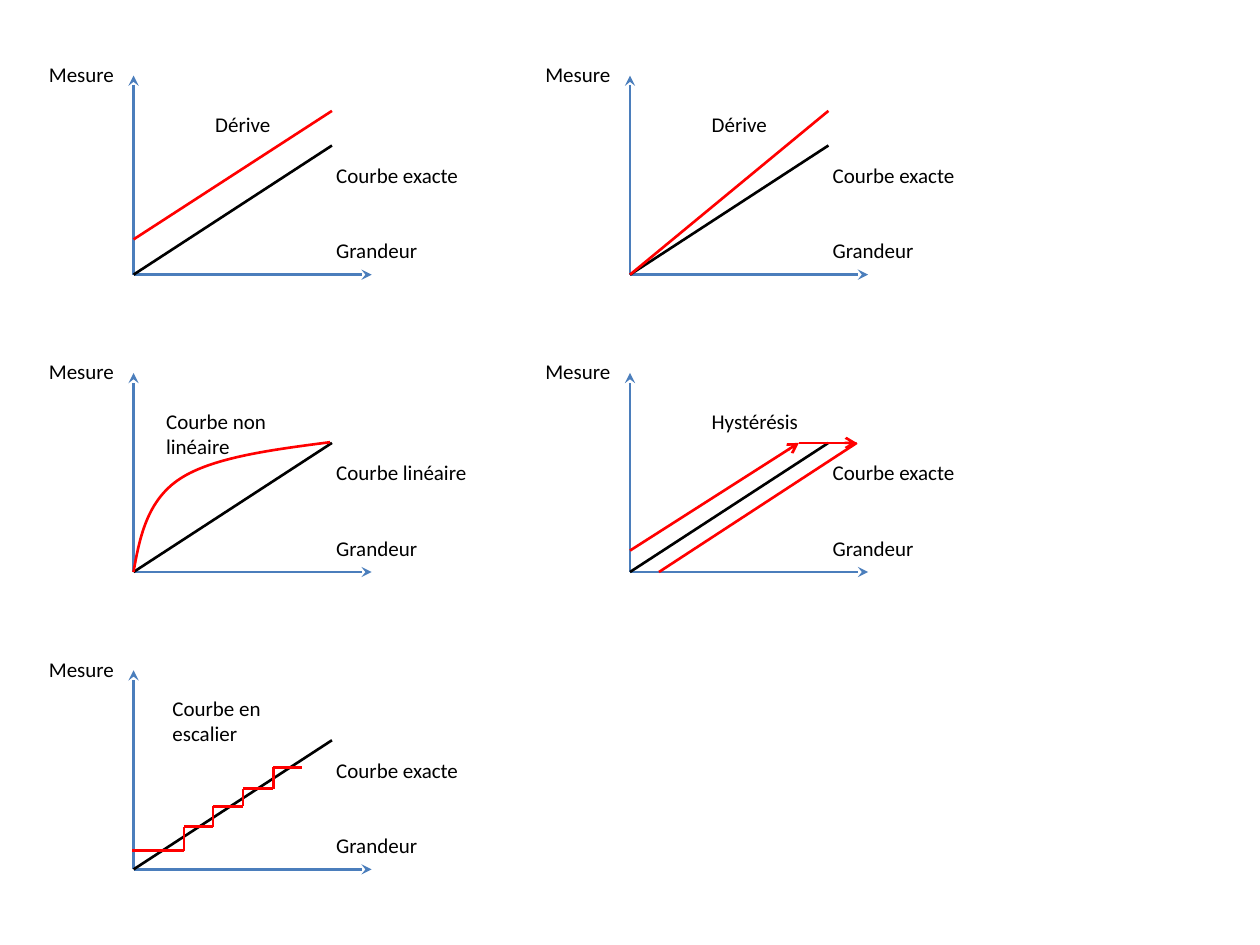
from itertools import pairwise

from lxml import etree
from pptx import Presentation
from pptx.dml.color import RGBColor
from pptx.enum.shapes import MSO_CONNECTOR as CONN
from pptx.enum.text import MSO_AUTO_SIZE as AUTO
from pptx.oxml.ns import qn
from pptx.util import Inches, Pt

BLUE, BLACK, RED = "4B7EBC", "000000", "FF0000"
LEFT, TOP = 1.06, 2.18          # axis origin of the first graph
COL, ROW = 3.94, 2.36           # steps between graphs
END = (1.575, 1.025)            # end of the reference line


def rgb(value):
    return RGBColor.from_string(value)


class Graph:
    """One graph in the grid; points are inches right of and above its origin."""
    font, size, width = "Calibri", 12, 1.5

    def __init__(self, slide, col, row):
        self.shapes = slide.shapes
        self.x0, self.y0 = LEFT + col * COL, TOP + row * ROW

    def at(self, point):
        x, y = point
        return Inches(self.x0 + x), Inches(self.y0 - y)

    def stroke(self, s, color):
        s.line.color.rgb = rgb(color)
        s.line.width = Pt(self.width)

    def line(self, start, end, color=RED, head=None):
        s = self.shapes.add_connector(CONN.STRAIGHT, *self.at(start), *self.at(end))
        self.stroke(s, color)
        if head:
            etree.SubElement(s.line._get_or_add_ln(), qn("a:tailEnd"), type=head)
        etree.SubElement(s._element.spPr, qn("a:effectLst"))

    def text(self, text, x, y, w=1.25, h=0.3):
        s = self.shapes.add_textbox(*self.at((x, y)), Inches(w), Inches(h))
        tf = s.text_frame
        tf.word_wrap = True
        tf.auto_size = AUTO.SHAPE_TO_FIT_TEXT
        p = tf.paragraphs[0]
        p.text = text
        p.font.name, p.font.size = self.font, Pt(self.size)
        p.font.color.rgb = rgb(BLACK)

    def curve(self, start, points):
        """Draw cubic Bezier segments, three points to a segment."""
        fb = self.shapes.build_freeform(*self.at(start))
        fb.add_line_segments([self.at(p) for p in points], close=False)
        s = fb.convert_to_shape()
        s.fill.background()
        s.shadow.inherit = False
        self.stroke(s, RED)
        lines = list(s._element.iter(qn("a:lnTo")))
        for i in range(0, len(lines), 3):
            bezier = etree.Element(qn("a:cubicBezTo"))
            lines[i].addprevious(bezier)
            for ln in lines[i:i + 3]:
                bezier.append(ln[0])
                ln.getparent().remove(ln)

    def base(self, reference="Courbe exacte"):
        """Axes, reference line and their labels."""
        self.line((0, 0), (0, 1.58), BLUE, "stealth")
        self.line((0, 0), (1.89, 0), BLUE, "stealth")
        self.text("Mesure", -0.77, 1.74, 0.77)
        self.text("Grandeur", 1.51, 0.34, 0.94)
        self.line((0, 0), END, BLACK)
        self.text(reference, 1.51, 0.94)


def main():
    prs = Presentation()
    prs.slide_width, prs.slide_height = Inches(10), Inches(7.5)
    slide = prs.slides.add_slide(prs.slide_layouts[6])

    # Offset drift, then gain drift
    for col, start in enumerate([0.28, 0]):
        g = Graph(slide, col, 0)
        g.base()
        g.line((0, start), (END[0], 1.3))
        g.text("Dérive", 0.55, 1.34)

    # Non-linear curve
    g = Graph(slide, 0, 1)
    g.base("Courbe linéaire")
    g.curve((0, 0), [(0.05, 0.28), (0.11, 0.57), (0.37, 0.74),
                     (0.63, 0.91), (1.1, 0.97), (1.56, 1.03)])
    g.text("Courbe non linéaire", 0.16, 1.35, h=0.5)

    # Hysteresis loop
    g = Graph(slide, 1, 1)
    g.base()
    g.text("Hystérésis", 0.55, 1.35)
    peak, corner = (1.34, END[1]), (1.8, END[1])
    g.line((0, 0.17), peak, head="arrow")
    g.line((0.23, 0), corner)
    g.line(peak, corner, head="arrow")

    # Staircase: each tread is followed by a riser, except the last
    g = Graph(slide, 0, 2)
    g.base()
    g.text("Courbe en escalier", 0.21, 1.43, h=0.5)
    edges = [-0.01, 0.4, 0.63, 0.87, 1.11, 1.34]
    levels = [0.15, 0.34, 0.5, 0.64, 0.81]
    for (x1, x2), y in zip(pairwise(edges), levels):
        g.line((x1, y), (x2, y))
    for x, (y1, y2) in zip(edges[1:], pairwise(levels)):
        g.line((x, y2), (x, y1))

    prs.save("out.pptx")


if __name__ == "__main__":
    main()
